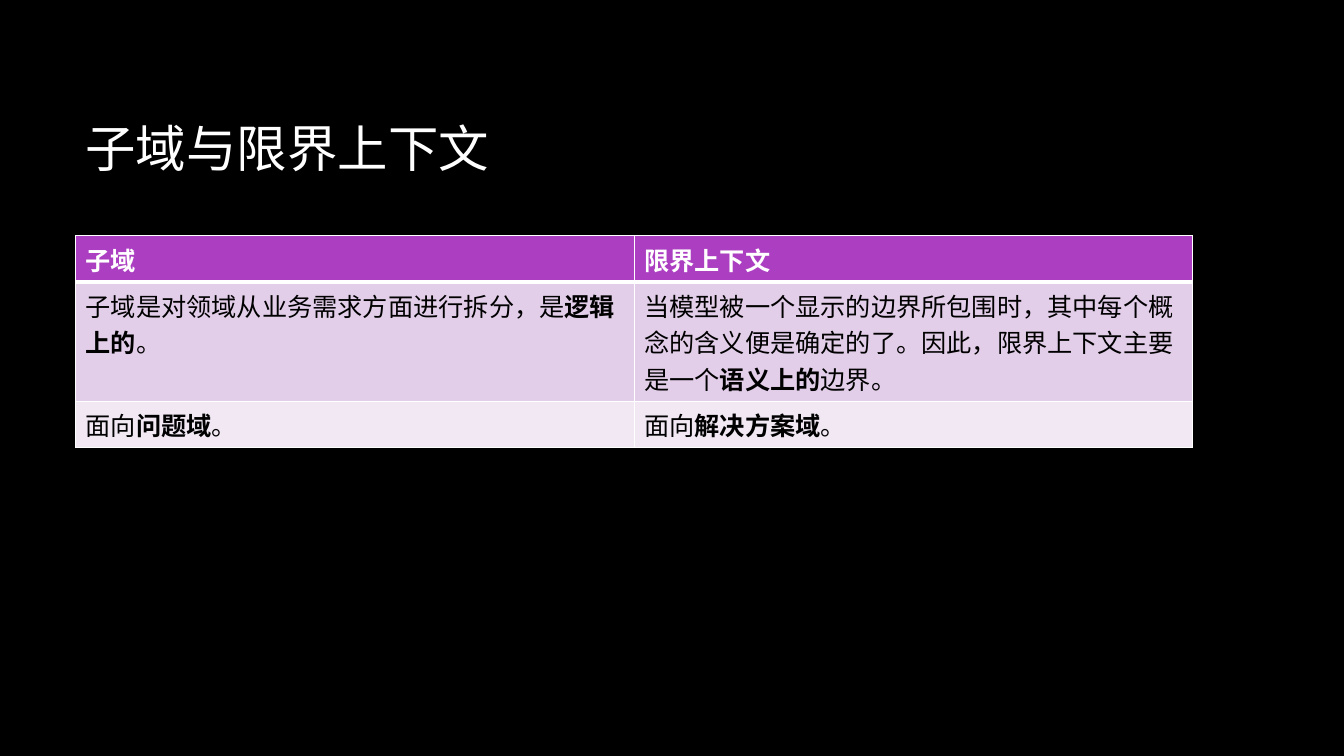
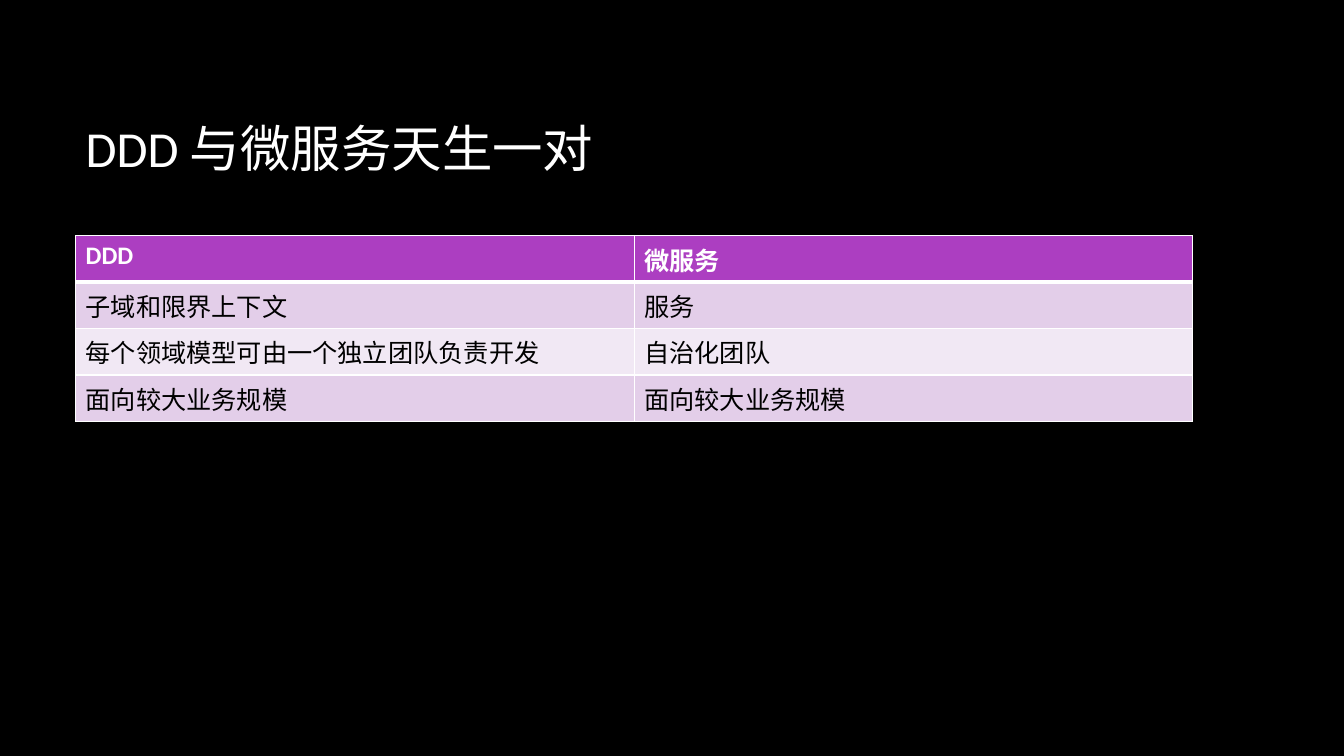
from lxml import etree
from pptx import Presentation
from pptx.dml.color import RGBColor
from pptx.enum.text import MSO_ANCHOR
from pptx.oxml.ns import qn
from pptx.util import Inches, Pt

MIDDLE = MSO_ANCHOR.MIDDLE
FONT = "Calibri"
BLACK, WHITE = "000000", "FFFFFF"
HEADER, BANDS = "AC3EC1", ("E3CEE9", "F1E8F4")
TITLE_BOX = (0.75, 0.67, 11.08, 1.59)
TABLE_BOX = (0.75, 2.34, 11.08)
LINE_HEIGHT, ROW_PADDING = 0.36, 0.1

SLIDES = [
    ("子域与限界上下文", (1, 3, 1), [
        ("子域", "限界上下文"),
        ("子域是对领域从业务需求方面进行拆分，是**逻辑上的**。",
         "当模型被一个显示的边界所包围时，其中每个概念的含义便是确定的了。"
         "因此，限界上下文主要是一个**语义上的**边界。"),
        ("面向**问题域**。", "面向**解决方案域**。"),
    ]),
    ("DDD 与微服务天生一对", (1, 1, 1, 1), [
        ("DDD", "微服务"),
        ("子域和限界上下文", "服务"),
        ("每个领域模型可由一个独立团队负责开发", "自治化团队"),
        ("面向较大业务规模", "面向较大业务规模"),
    ]),
]


def rgb(value):
    """Turn a hex string into a colour."""
    return RGBColor.from_string(value)


def set_font(font, size, color):
    """Apply the shared typeface with a size and colour."""
    font.name = FONT
    font.size = Pt(size)
    font.color.rgb = rgb(color)


def add_title(s, text, box):
    """Place the slide title, vertically centred in its box."""
    tf = s.shapes.add_textbox(*map(Inches, box)).text_frame
    tf.word_wrap = True
    tf.vertical_anchor = MIDDLE
    p = tf.paragraphs[0]
    p.text = text
    set_font(p.font, 36, WHITE)


def set_borders(cell, top, bottom):
    """Draw white borders with the given top and bottom widths."""
    tc_pr = cell._tc.get_or_add_tcPr()
    for side, width in (("L", 1), ("R", 1), ("T", top), ("B", bottom)):
        ln = etree.SubElement(tc_pr, qn(f"a:ln{side}"), w=str(Pt(width)))
        fill = etree.SubElement(ln, qn("a:solidFill"))
        etree.SubElement(fill, qn("a:srgbClr"), val=WHITE)


def fill_cell(cell, text, row):
    """Style one cell by its row; text between ** marks is bold."""
    header = row == 0
    set_borders(cell, 3 if row == 1 else 1, 3 if header else 1)
    cell.fill.solid()
    cell.fill.fore_color.rgb = rgb(HEADER if header else BANDS[(row - 1) % 2])
    p = cell.text_frame.paragraphs[0]
    set_font(p.font, 18, WHITE if header else BLACK)
    for i, part in enumerate(text.split("**")):
        r = p.add_run()
        r.text = part
        r.font.bold = header or i % 2 == 1


def add_comparison(s, rows, line_counts, box):
    """Place a table whose rows are as tall as their lines of text."""
    left, top, width = box
    heights = [ROW_PADDING + LINE_HEIGHT * n for n in line_counts]
    table = s.shapes.add_table(
        len(rows), len(rows[0]), Inches(left), Inches(top),
        Inches(width), Inches(sum(heights))).table
    for i, (row, height) in enumerate(zip(rows, heights)):
        table.rows[i].height = Inches(height)
        for j, text in enumerate(row):
            fill_cell(table.cell(i, j), text, i)


def add_table_slide(prs, title, line_counts, rows):
    """Add a black slide with a title and a comparison table."""
    s = prs.slides.add_slide(prs.slide_layouts[6])
    s.background.fill.solid()
    s.background.fill.fore_color.rgb = rgb(BLACK)
    add_title(s, title, TITLE_BOX)
    add_comparison(s, rows, line_counts, TABLE_BOX)


def main():
    """Build and save the presentation."""
    prs = Presentation()
    prs.slide_width, prs.slide_height = Inches(13.33), Inches(7.5)
    for title, line_counts, rows in SLIDES:
        add_table_slide(prs, title, line_counts, rows)
    prs.save("out.pptx")


if __name__ == "__main__":
    main()
